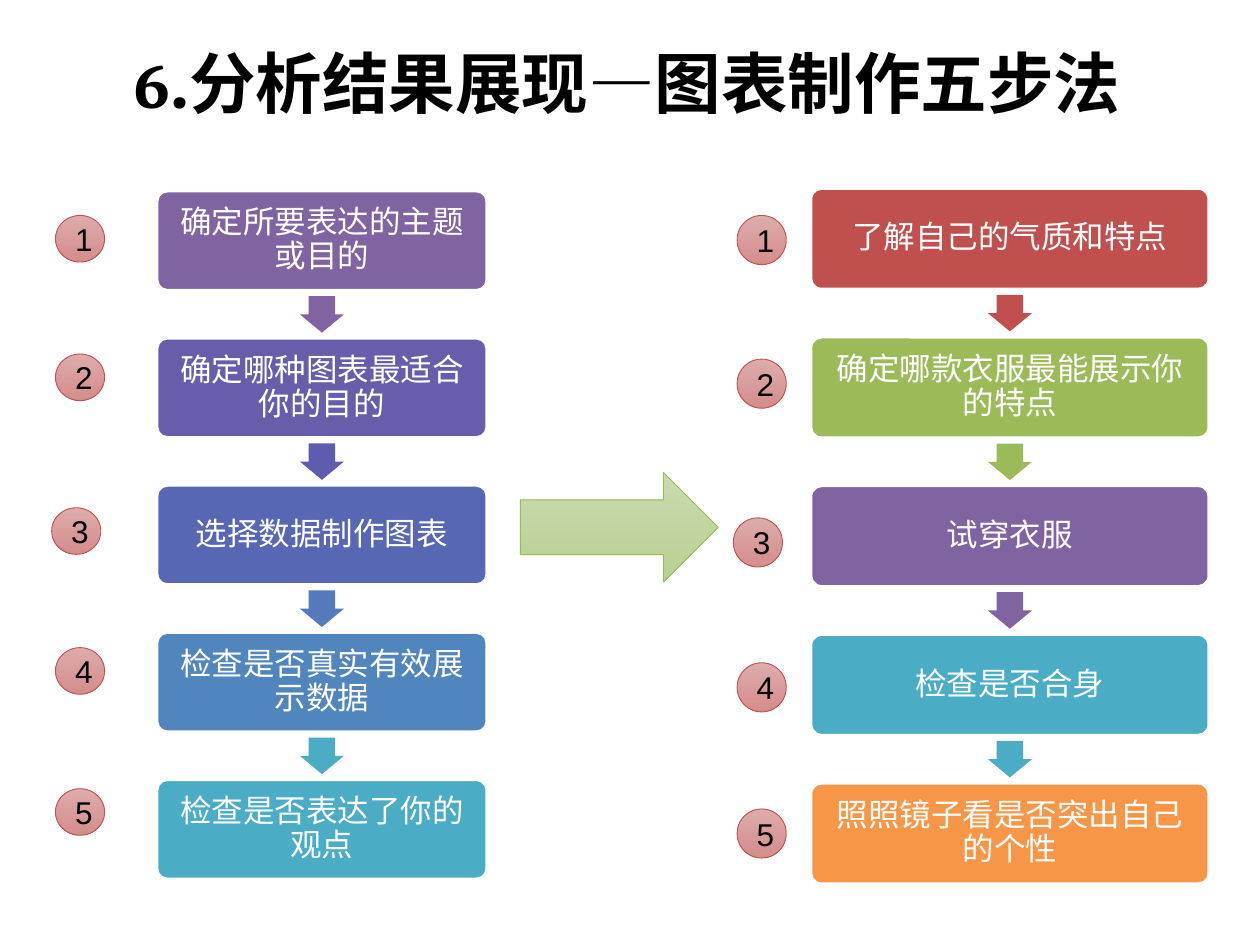
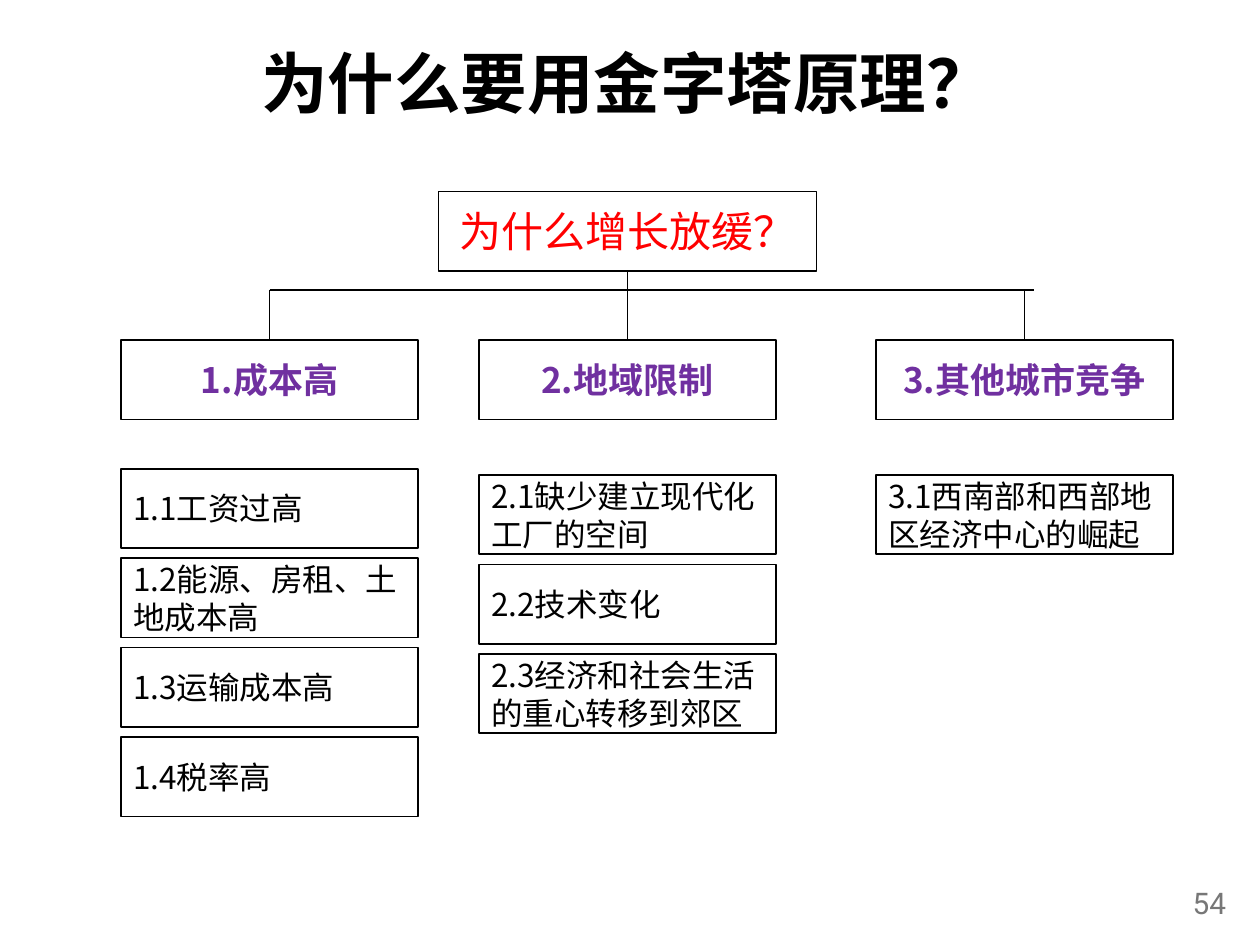
from pptx import Presentation
from pptx.dml.color import RGBColor
from pptx.enum.shapes import MSO_CONNECTOR, MSO_SHAPE
from pptx.enum.text import MSO_ANCHOR, PP_ALIGN
from pptx.oxml.ns import qn
from pptx.util import Emu, Inches, Pt
from lxml.etree import SubElement

# Shared colours and fonts
BLACK = RGBColor(0x00, 0x00, 0x00)
WHITE = RGBColor(0xFF, 0xFF, 0xFF)
RED = RGBColor(0xC0, 0x50, 0x4D)
GREEN = RGBColor(0x9B, 0xBB, 0x59)
PURPLE = RGBColor(0x80, 0x64, 0xA2)
VIOLET = RGBColor(0x68, 0x5D, 0xAB)
VIOLET_BLUE = RGBColor(0x5F, 0x5B, 0xAE)
INDIGO = RGBColor(0x57, 0x67, 0xB4)
MID_BLUE = RGBColor(0x53, 0x7A, 0xBA)
BLUE = RGBColor(0x51, 0x85, 0xBD)
TEAL = RGBColor(0x4B, 0xAC, 0xC6)
ORANGE = RGBColor(0xF7, 0x96, 0x46)
QUESTION_RED = RGBColor(0xFF, 0x00, 0x00)
REASON_PURPLE = RGBColor(0x70, 0x30, 0xA0)
NUMBER_GREY = RGBColor(0x77, 0x77, 0x77)
PINK_FADE = (RGBColor(0xDD, 0xAC, 0xAB), RGBColor(0xD4, 0x8D, 0x8B))
GREEN_FADE = (RGBColor(0xCA, 0xDA, 0xAF), RGBColor(0xB9, 0xD0, 0x91))
SANS, CJK = "Arial", "Noto Sans CJK SC"

# Grid of 100 columns by 75 rows
deck = Presentation()
deck.slide_width, deck.slide_height = Inches(10), Inches(7.5)
COL, ROW = deck.slide_width / 100, deck.slide_height / 75


def add_block(slide, kind, col, row, cols, rows, fill=None, line=None, line_width=1):
    """Place a shape on the grid; kind None gives a text box, a pair of colours a fade."""
    place = [Emu(round(n)) for n in (col * COL, row * ROW, cols * COL, rows * ROW)]
    if kind is None:
        return slide.shapes.add_textbox(*place)
    block = slide.shapes.add_shape(kind, *place)
    block.shadow.inherit = False
    if isinstance(fill, RGBColor):
        block.fill.solid()
        block.fill.fore_color.rgb = fill
    else:
        block.fill.gradient()
        block.fill.gradient_angle = 270
        for stop, color in zip(block.fill.gradient_stops, fill):
            stop.color.rgb = color
    if line is None:
        block.line.fill.background()
    else:
        block.line.color.rgb = line
        block.line.width = Pt(line_width)
    return block


def write(block, text, size, color, font=SANS, bold=False,
          align=PP_ALIGN.CENTER, anchor=MSO_ANCHOR.MIDDLE):
    frame = block.text_frame
    frame.word_wrap = True
    frame.vertical_anchor = anchor
    paragraph = frame.paragraphs[0]
    paragraph.alignment = align
    run = paragraph.add_run()
    run.text = text
    run.font.size, run.font.bold, run.font.name = Pt(size), bold, font
    run.font.color.rgb = color
    if font == CJK:
        SubElement(run.font._element, qn("a:ea"), typeface=CJK)
    return paragraph


# Both slides with their titles
pages = []
for title, font in (("6.分析结果展现—图表制作五步法", "Vollkorn"),
                    ("为什么要用金字塔原理？", SANS)):
    page = deck.slides.add_slide(deck.slide_layouts[6])
    write(add_block(page, None, 3.8, 2.8, 92, 7.4), title, 38, BLACK, font, bold=True)
    pages.append(page)
steps_page, pyramid_page = pages

# Slide 1: chart-making steps beside dressing steps
chart_steps = [
    ("确定所要表达的主题或目的", PURPLE, PURPLE, 17.1),
    ("确定哪种图表最适合你的目的", VIOLET, VIOLET_BLUE, 28.1),
    ("选择数据制作图表", INDIGO, MID_BLUE, 40.3),
    ("检查是否真实有效展示数据", BLUE, TEAL, 51.4),
    ("检查是否表达了你的观点", TEAL, None, 62.6),
]
dressing_steps = [
    ("了解自己的气质和特点", RED, RED, 17.1),
    ("确定哪款衣服最能展示你的特点", GREEN, GREEN, 28.5),
    ("试穿衣服", PURPLE, PURPLE, 41.1),
    ("检查是否合身", TEAL, TEAL, 52.6),
    ("照照镜子看是否突出自己的个性", ORANGE, None, 64.2),
]
flows = [  # steps, left, top, width, height, pitch, badge left, badge height
    (chart_steps, 12.5, 15.2, 26.1, 7.8, 11.68, 4.4, 3.7),
    (dressing_steps, 64.4, 15, 31.5, 7.9, 11.8, 58.5, 3.9),
]
for steps, left, top, width, height, pitch, badge_left, badge_height in flows:
    for i, (text, color, arrow_color, badge_top) in enumerate(steps):
        step_top = top + i * pitch
        step = add_block(steps_page, MSO_SHAPE.ROUNDED_RECTANGLE,
                         left, step_top, width, height, color, WHITE)
        step.adjustments[0] = 0.1
        frame = step.text_frame
        frame.margin_left = frame.margin_right = Inches(0.07)
        frame.margin_top = frame.margin_bottom = Inches(0.07)
        write(step, text, 18, WHITE).line_spacing = 0.9
        if arrow_color:
            arrow = add_block(steps_page, MSO_SHAPE.DOWN_ARROW, left + width / 2 - 1.75,
                              step_top + height + 0.5, 3.5, 2.9, arrow_color)
            arrow.adjustments[0], arrow.adjustments[1] = 0.6, 0.5
        # The third badge sits slightly to the left
        badge = add_block(steps_page, MSO_SHAPE.OVAL, badge_left - 0.3 * (i == 2), badge_top,
                          3.9, badge_height, PINK_FADE, RED, 0.5)
        write(badge, str(i + 1), 18, BLACK)

add_block(steps_page, MSO_SHAPE.RIGHT_ARROW, 41.3, 37.5, 15.7, 8.7, GREEN_FADE, GREEN, 0.5)

# Slide 2: question at the top of the pyramid
BOX_COLS, BOX_ROWS, BOX_PITCH = 23.6, 6.3, 7.1
REASON_ROW, BAR_ROW = 27, 23
question = add_block(pyramid_page, MSO_SHAPE.RECTANGLE, 34.8, 15.2, 30, BOX_ROWS, WHITE, BLACK)
write(question, "为什么增长放缓？", 24, QUESTION_RED, CJK)

# Reasons, each with its causes below
reasons = [
    ("1.成本高", 9.6, 37.2,
     ["1.1工资过高", "1.2能源、房租、土地成本高", "1.3运输成本高", "1.4税率高"]),
    ("2.地域限制", 38, 37.7,
     ["2.1缺少建立现代化工厂的空间", "2.2技术变化", "2.3经济和社会生活的重心转移到郊区"]),
    ("3.其他城市竞争", 69.5, 37.7, ["3.1西南部和西部地区经济中心的崛起"]),
]
bar_row = round(BAR_ROW * ROW)
bar_left = round((reasons[0][1] + BOX_COLS / 2) * COL)
branches = [pyramid_page.shapes.add_connector(
    MSO_CONNECTOR.STRAIGHT, bar_left, bar_row, round(82.1 * COL), bar_row)]
for i, (reason, left, first_row, causes) in enumerate(reasons):
    reason_box = add_block(pyramid_page, MSO_SHAPE.RECTANGLE, left, REASON_ROW,
                           BOX_COLS, BOX_ROWS, WHITE, BLACK)
    write(reason_box, reason, 20, REASON_PURPLE, CJK, bold=True)
    center = round((left + BOX_COLS / 2) * COL)
    branch = pyramid_page.shapes.add_connector(
        MSO_CONNECTOR.STRAIGHT, center, bar_row, center, round(REASON_ROW * ROW))
    if i == 1:
        branch.begin_connect(question, 2)
    branch.end_connect(reason_box, 0)
    branches.append(branch)
    for j, cause in enumerate(causes):
        cause_box = add_block(pyramid_page, MSO_SHAPE.RECTANGLE, left,
                              first_row + j * BOX_PITCH, BOX_COLS, BOX_ROWS, WHITE, BLACK)
        write(cause_box, cause, 18, BLACK, CJK, align=PP_ALIGN.LEFT)

for branch in branches:
    branch.line.color.rgb = BLACK
    branch.line.width = Pt(1)
    SubElement(branch._element.spPr, qn("a:effectLst"))

# Page number
write(add_block(pyramid_page, None, 90.8, 69.7, 7.5, 4), "54", 17, NUMBER_GREY, "Roboto",
      align=PP_ALIGN.RIGHT, anchor=MSO_ANCHOR.TOP)

deck.save("out.pptx")
